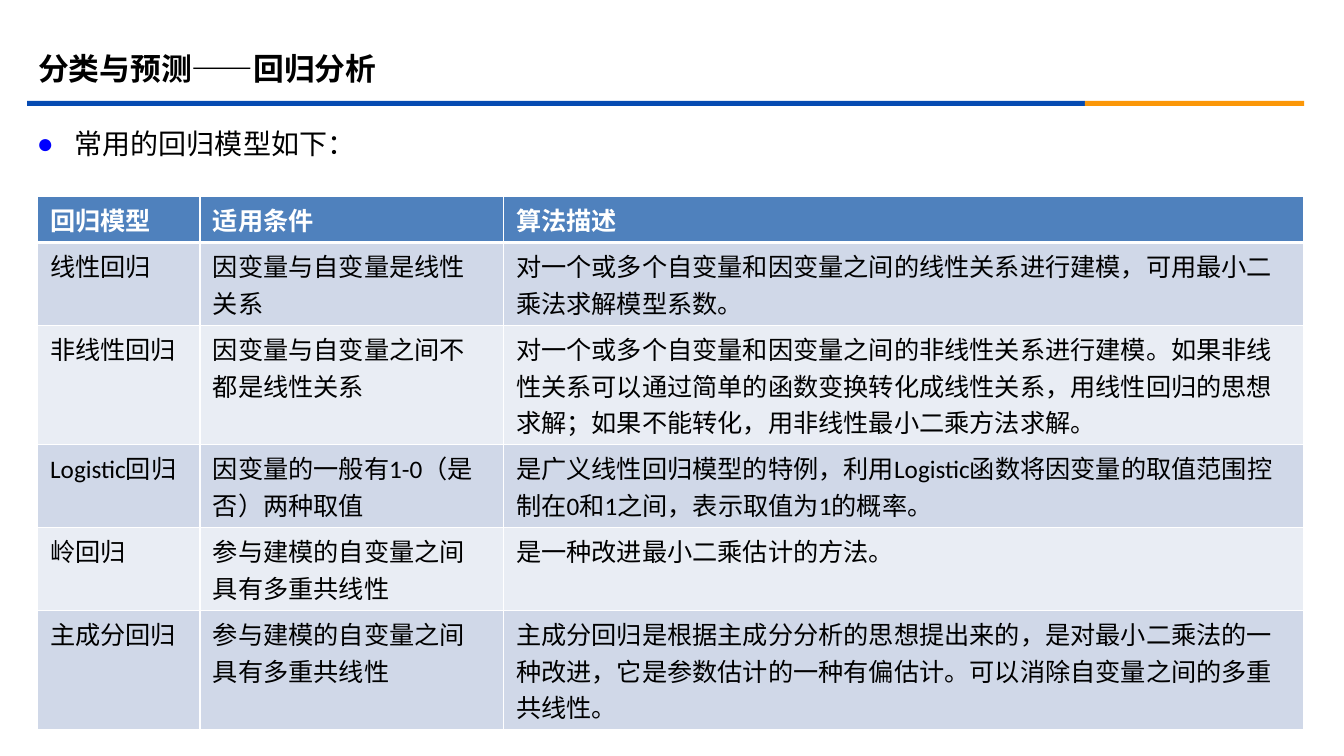
from dataclasses import dataclass

import pptx
import pptx.dml.color
import pptx.enum.shapes
import pptx.enum.text
import pptx.oxml
import pptx.oxml.ns
import pptx.util

Pt = pptx.util.Pt
RGBColor = pptx.dml.color.RGBColor
NS = pptx.oxml.ns.nsdecls("a")

BLACK = RGBColor(0x00, 0x00, 0x00)
WHITE = RGBColor(0xFF, 0xFF, 0xFF)
BLUE = RGBColor(0x06, 0x4B, 0xB2)
ORANGE = RGBColor(0xFB, 0x97, 0x08)
BULLET = RGBColor(0x00, 0x00, 0xFF)
HEADER = RGBColor(0x4F, 0x81, 0xBD)
BAND_DARK = RGBColor(0xD0, 0xD8, 0xE8)
BAND_LIGHT = RGBColor(0xE9, 0xED, 0xF4)
CJK = "Noto Sans CJK SC"


@dataclass
class Bar:
    left: float
    width: float
    color: RGBColor


@dataclass
class Model:
    name: str
    condition: str
    description: str
    height: float


BARS = [Bar(19.44, 755.5, BLUE), Bar(774.94, 156.6, ORANGE)]
COLUMN_WIDTHS = [116.2, 216.7, 571.5]
MODELS = [
    Model("回归模型", "适用条件", "算法描述", 32.8),
    Model("线性回归", "因变量与自变量是线性关系",
          "对一个或多个自变量和因变量之间的线性关系进行建模，可用最小二乘法求解模型系数。", 59.3),
    Model("非线性回归", "因变量与自变量之间不都是线性关系",
          "对一个或多个自变量和因变量之间的非线性关系进行建模。如果非线性关系可以通过简单的函数变换"
          "转化成线性关系，用线性回归的思想求解；如果不能转化，用非线性最小二乘方法求解。", 85.2),
    Model("Logistic回归", "因变量的一般有1-0（是否）两种取值",
          "是广义线性回归模型的特例，利用Logistic函数将因变量的取值范围控制在0和1之间，"
          "表示取值为1的概率。", 59.3),
    Model("岭回归", "参与建模的自变量之间具有多重共线性", "是一种改进最小二乘估计的方法。", 59.3),
    Model("主成分回归", "参与建模的自变量之间具有多重共线性",
          "主成分回归是根据主成分分析的思想提出来的，是对最小二乘法的一种改进，"
          "它是参数估计的一种有偏估计。可以消除自变量之间的多重共线性。", 85.2),
]


def add_run(p, text: str, size: float, font: str, color: RGBColor, bold: bool = False) -> None:
    r = p.add_run()
    r.text = text
    r.font.size = Pt(size)
    r.font.name = font
    r.font.bold = bold
    r.font.color.rgb = color
    r.font._element.find(pptx.oxml.ns.qn("a:latin")).addnext(
        pptx.oxml.parse_xml(f'<a:ea {NS} typeface="{CJK}"/>'))


def add_space_before(p) -> None:
    p._p.get_or_add_pPr().append(pptx.oxml.parse_xml(
        f'<a:spcBef {NS}><a:spcPct val="20000"/></a:spcBef>'))


def add_bar(s, bar: Bar) -> None:
    sp = s.shapes.add_shape(pptx.enum.shapes.MSO_SHAPE.RECTANGLE,
                            Pt(bar.left), Pt(72), Pt(bar.width), Pt(3.6))
    sp.shadow.inherit = False
    sp.fill.solid()
    sp.fill.fore_color.rgb = bar.color
    sp.line.fill.background()


def add_title(s) -> None:
    tf = s.shapes.add_textbox(Pt(20.16), Pt(28.08), Pt(864), Pt(41.76)).text_frame
    tf.word_wrap = True
    tf.vertical_anchor = pptx.enum.text.MSO_ANCHOR.MIDDLE
    p = tf.paragraphs[0]
    add_run(p, "分类与预测", 22, "Arial", BLACK, True)
    add_run(p, "——回归分析", 22, CJK, BLACK, True)


def add_intro(s) -> None:
    tf = s.shapes.add_textbox(Pt(26.4), Pt(78.48), Pt(884.88), Pt(36)).text_frame
    tf.word_wrap = True
    tf.auto_size = pptx.enum.text.MSO_AUTO_SIZE.SHAPE_TO_FIT_TEXT
    tf.margin_left = tf.margin_right = tf.margin_top = tf.margin_bottom = 0
    p = tf.paragraphs[0]
    p.line_spacing = 1.5
    add_space_before(p)
    pPr = p._p.get_or_add_pPr()
    pPr.set("marL", str(Pt(27)))
    pPr.set("indent", str(-Pt(27)))
    for xml in (f'<a:buClr {NS}><a:srgbClr val="{BULLET}"/></a:buClr>',
                f'<a:buFont {NS} typeface="Arial"/>',
                f'<a:buChar {NS} char="●"/>'):
        pPr.append(pptx.oxml.parse_xml(xml))
    add_run(p, "常用的回归模型如下：", 20, CJK, BLACK)


def add_border(cell, side: str, width: float) -> None:
    cell._tc.get_or_add_tcPr().append(pptx.oxml.parse_xml(
        f'<a:ln{side} {NS} w="{Pt(width)}"><a:solidFill><a:srgbClr val="{WHITE}"/>'
        f'</a:solidFill></a:ln{side}>'))


def fill_cell(cell, text: str, row: int) -> None:
    widths = {"L": 1, "R": 1, "T": 3 if row == 1 else 1, "B": 3 if row == 0 else 1}
    for side, width in widths.items():
        add_border(cell, side, width)
    cell.fill.solid()
    cell.fill.fore_color.rgb = HEADER if row == 0 else BAND_DARK if row % 2 else BAND_LIGHT
    cell.margin_left = Pt(9.2)
    cell.margin_right = Pt(9.8)
    cell.margin_top = cell.margin_bottom = Pt(3.6)
    p = cell.text_frame.paragraphs[0]
    add_space_before(p)
    add_run(p, text, 18, "Calibri", BLACK if row else WHITE, row == 0)


def add_models(s, models: list[Model]) -> None:
    table = s.shapes.add_table(len(models), len(COLUMN_WIDTHS), Pt(26.64), Pt(140.4),
                               Pt(sum(COLUMN_WIDTHS)),
                               Pt(sum(m.height for m in models))).table
    table.horz_banding = False
    for column, width in zip(table.columns, COLUMN_WIDTHS):
        column.width = Pt(width)
    for i, model in enumerate(models):
        table.rows[i].height = Pt(model.height)
        for j, text in enumerate((model.name, model.condition, model.description)):
            fill_cell(table.cell(i, j), text, i)


def main() -> None:
    prs = pptx.Presentation()
    prs.slide_width, prs.slide_height = Pt(960), Pt(540)
    s = prs.slides.add_slide(prs.slide_layouts[6])
    for bar in BARS:
        add_bar(s, bar)
    add_intro(s)
    add_title(s)
    add_models(s, MODELS)
    prs.save("out.pptx")


if __name__ == "__main__":
    main()
